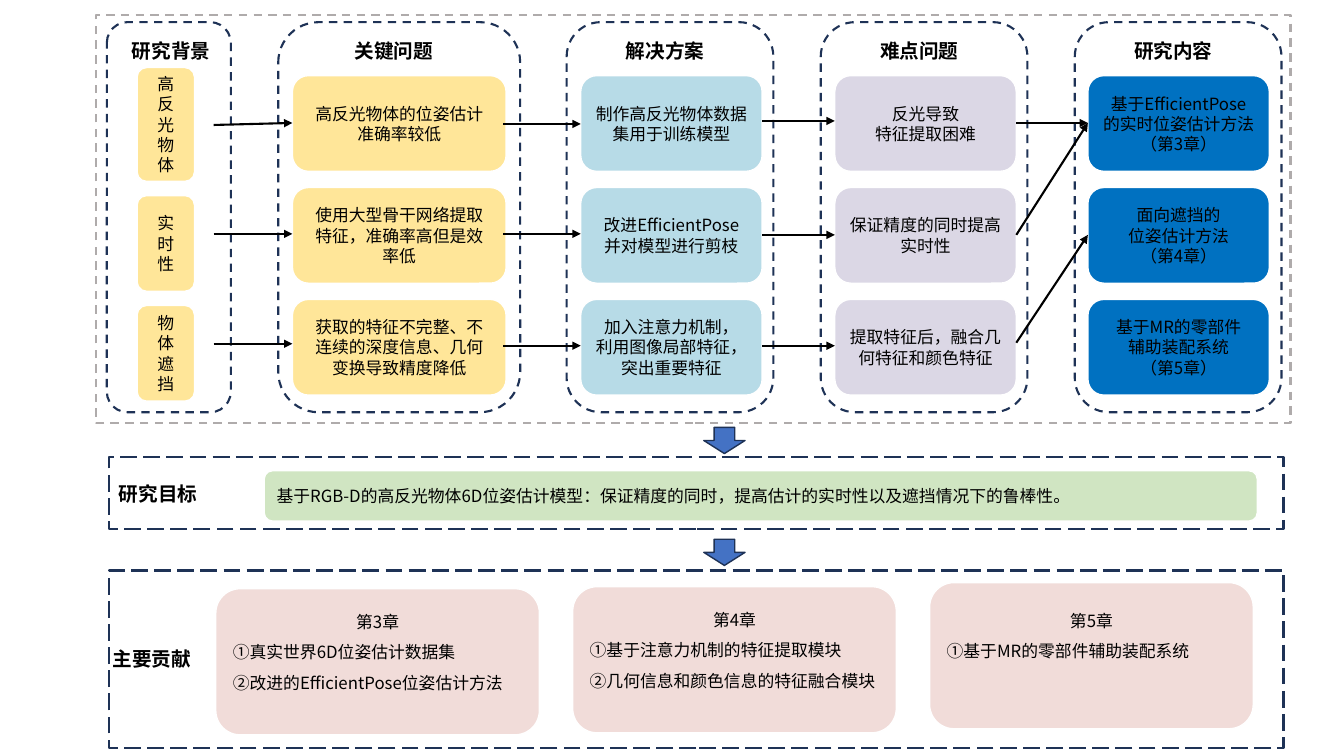
from lxml import etree
from pptx import Presentation
from pptx.dml.color import RGBColor
from pptx.enum import dml, shapes, text
from pptx.oxml import ns
from pptx.util import Inches, Pt

THEME = {
    "font": "Noto Sans CJK SC", "heading": 14, "body": 12,
    "ink": "000000", "white": "FFFFFF", "navy": "1E3256", "grey": "AFABAB",
    "yellow": "FFE699", "aqua": "B7DBE7", "lilac": "DBD7E5",
    "blue": "0071C1", "green": "D0E5C2", "pink": "F1DCD9", "arrow": "4472C4",
}

ROWS = [(0.75, 0.95), (1.86, 0.95), (2.97, 0.95)]
BACKGROUND_ROWS = [(0.67, 1.13), (1.94, 0.95), (3.03, 0.95)]

STAGES = [
    {"heading": "研究背景", "heading_x": 1.21, "frame": (1.06, 1.23), "card": (1.36, 0.57),
     "fill": "yellow", "rows": BACKGROUND_ROWS,
     "cards": [["高反光物体"], ["实时性"], ["物体遮挡"]]},
    {"heading": "关键问题", "heading_x": 3.42, "frame": (2.76, 2.4), "card": (2.9, 2.12),
     "fill": "yellow", "rows": ROWS,
     "cards": [["高反光物体的位姿估计准确率较低"],
               ["使用大型骨干网络提取特征，准确率高但是效率低"],
               ["获取的特征不完整、不连续的深度信息、几何变换导致精度降低"]]},
    {"heading": "解决方案", "heading_x": 6.11, "frame": (5.62, 2.05), "card": (5.76, 1.8),
     "fill": "aqua", "rows": ROWS,
     "cards": [["制作高反光物体数据集用于训练模型"],
               ["改进EfficientPose", "并对模型进行剪枝"],
               ["加入注意力机制，", "利用图像局部特征，突出重要特征"]]},
    {"heading": "难点问题", "heading_x": 8.63, "frame": (8.14, 2.05), "card": (8.28, 1.8),
     "fill": "lilac", "rows": ROWS,
     "cards": [["反光导致", "特征提取困难"],
               ["保证精度的同时提高实时性"],
               ["提取特征后，融合几何特征和颜色特征"]]},
    {"heading": "研究内容", "heading_x": 11.15, "frame": (10.66, 2.05), "card": (10.79, 1.8),
     "fill": "blue", "rows": ROWS,
     "cards": [["基于EfficientPose的实时位姿估计方法", "（第3章）"],
               ["面向遮挡的", "位姿估计方法", "（第4章）"],
               ["基于MR的零部件", "辅助装配系统", "（第5章）"]]},
]

FLOWS = [
    (2.12, 2.9, [(1.24, 1.22), (2.32, 2.32), (3.41, 3.41)]),
    (4.99, 5.76, [(1.23, 1.23), (2.32, 2.32), (3.43, 3.43)]),
    (7.56, 8.28, [(1.2, 1.2), (2.33, 2.33), (3.43, 3.43)]),
    (10.08, 10.79, [(1.22, 1.22), (2.33, 1.22), (3.4, 2.33)]),
]

GOAL = "基于RGB-D的高反光物体6D位姿估计模型：保证精度的同时，提高估计的实时性以及遮挡情况下的鲁棒性。"

CONTRIBUTIONS = [
    (5.84, 0.06, "第3章", ["①真实世界6D位姿估计数据集", "②改进的EfficientPose位姿估计方法"]),
    (5.82, 0.06, "第4章", ["①基于注意力机制的特征提取模块", "②几何信息和颜色信息的特征融合模块"]),
    (5.78, 0.11, "第5章", ["①基于MR的零部件辅助装配系统"]),
]

CENTER, LEFT = text.PP_ALIGN.CENTER, text.PP_ALIGN.LEFT
SHAPE = shapes.MSO_SHAPE
DASH = dml.MSO_LINE

prs = Presentation()
prs.slide_width, prs.slide_height = Inches(13.33), Inches(7.5)
slide = prs.slides.add_slide(prs.slide_layouts[6])


def color(name):
    return RGBColor.from_string(THEME[name])


def write(frame, lines, size="body", bold=False, aligns=(CENTER,), spacing=None,
          anchor=text.MSO_ANCHOR.MIDDLE):
    frame.word_wrap = True
    frame.vertical_anchor = anchor
    for index, line in enumerate(lines):
        paragraph = frame.paragraphs[0] if index == 0 else frame.add_paragraph()
        paragraph.alignment = aligns[min(index, len(aligns) - 1)]
        if spacing:
            paragraph.line_spacing = spacing
        run = paragraph.add_run()
        run.text = line
        run.font.size, run.font.bold = Pt(THEME[size]), bold
        run.font.color.rgb = color("ink")
        run.font.name = THEME["font"]
        etree.SubElement(run.font._element, ns.qn("a:ea"), typeface=THEME["font"])


def box(kind, x, y, w, h, fill=None, line="white", width=1, dash=None):
    shape = slide.shapes.add_shape(kind, Inches(x), Inches(y), Inches(w), Inches(h))
    shape.shadow.inherit = False
    if fill:
        shape.fill.solid()
        shape.fill.fore_color.rgb = color(fill)
    else:
        shape.fill.background()
    shape.line.color.rgb = color(line)
    shape.line.width = Pt(width)
    if dash:
        shape.line.dash_style = dash
    return shape


def heading(label, x, y):
    title = slide.shapes.add_textbox(Inches(x), Inches(y), Inches(1.07), Inches(0.34))
    write(title.text_frame, [label], size="heading", bold=True, aligns=(LEFT,),
          anchor=text.MSO_ANCHOR.TOP)
    title.text_frame.auto_size = text.MSO_AUTO_SIZE.SHAPE_TO_FIT_TEXT


def flow(x1, y1, x2, y2):
    arrow = slide.shapes.add_connector(shapes.MSO_CONNECTOR.STRAIGHT, Inches(x1), Inches(y1),
                                       Inches(x2), Inches(y2))
    arrow.line.color.rgb = color("ink")
    arrow.line.width = Pt(1.5)
    etree.SubElement(arrow.line._get_or_add_ln(), ns.qn("a:tailEnd"), type="triangle")
    etree.SubElement(arrow._element.spPr, ns.qn("a:effectLst"))


def draw_stages():
    box(SHAPE.RECTANGLE, 0.95, 0.15, 11.85, 4.05, line="grey", width=1.5, dash=DASH.DASH)
    for stage in STAGES:
        frame_x, frame_w = stage["frame"]
        card_x, card_w = stage["card"]
        box(SHAPE.ROUNDED_RECTANGLE, frame_x, 0.22, frame_w, 3.87,
            line="navy", width=1.5, dash=DASH.DASH)
        heading(stage["heading"], stage["heading_x"], 0.34)
        for (y, h), lines in zip(stage["rows"], stage["cards"]):
            card = box(SHAPE.ROUNDED_RECTANGLE, card_x, y, card_w, h, fill=stage["fill"])
            write(card.text_frame, lines)
    for x1, x2, levels in FLOWS:
        for y1, y2 in levels:
            flow(x1, y1, x2, y2)


def draw_section(label, label_x, label_y, y, h):
    box(SHAPE.RECTANGLE, 1.08, y, 11.65, h, fill="white", line="navy", width=1.5,
        dash=DASH.LONG_DASH)
    heading(label, label_x, label_y)


def draw_goal():
    draw_section("研究目标", 1.08, 4.73, 4.53, 0.72)
    goal = box(SHAPE.ROUNDED_RECTANGLE, 2.62, 4.67, 9.85, 0.5, fill="green")
    write(goal.text_frame, [GOAL], aligns=(LEFT,))


def draw_contributions():
    draw_section("主要贡献", 1.02, 6.37, 5.66, 1.76)
    for index, (y, inset, chapter, points) in enumerate(CONTRIBUTIONS):
        card = box(SHAPE.ROUNDED_RECTANGLE, 2.14 + 3.54 * index, y, 3.21, 1.45, fill="pink")
        card.text_frame.margin_top = Inches(inset)
        write(card.text_frame, [chapter, *points], aligns=(CENTER, LEFT), spacing=1.5,
              anchor=text.MSO_ANCHOR.TOP)


draw_stages()
draw_goal()
draw_contributions()
for step_y in (4.24, 5.35):
    box(SHAPE.DOWN_ARROW, 6.98, step_y, 0.41, 0.26, fill="arrow", line="navy")
prs.save("out.pptx")
